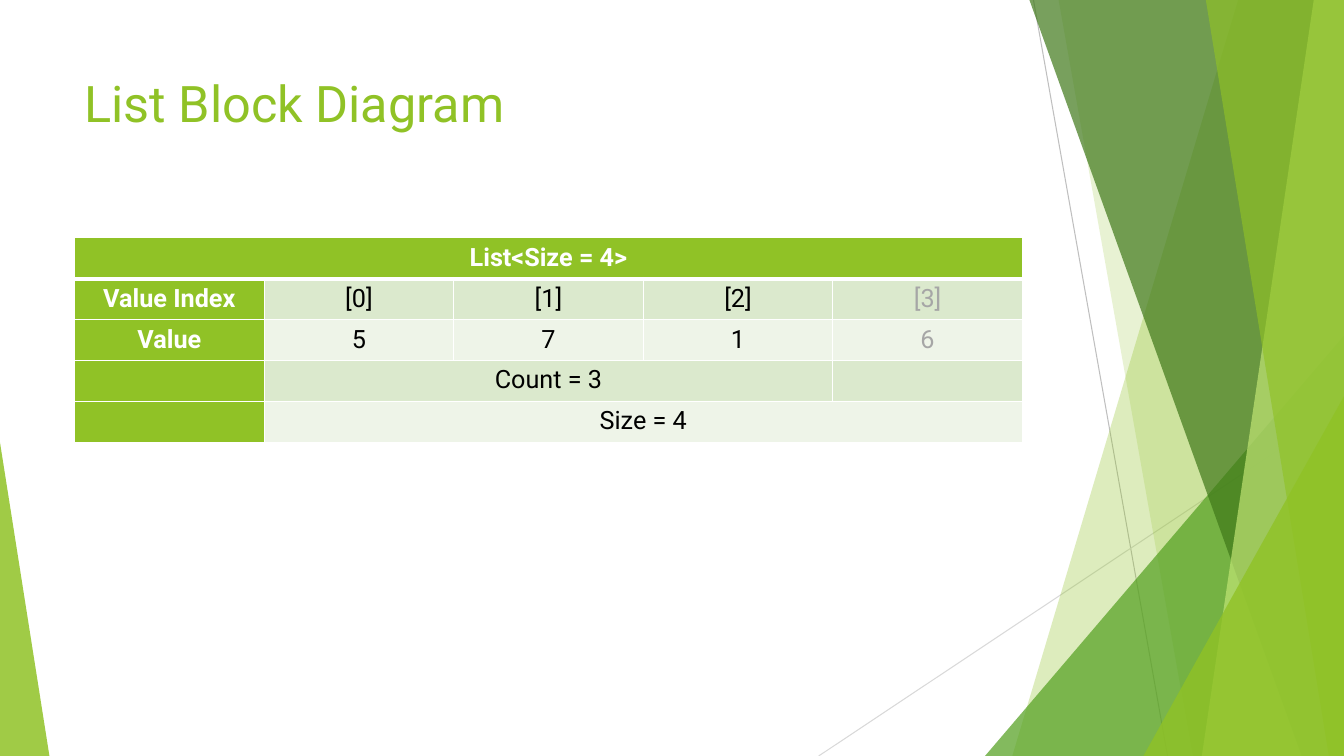
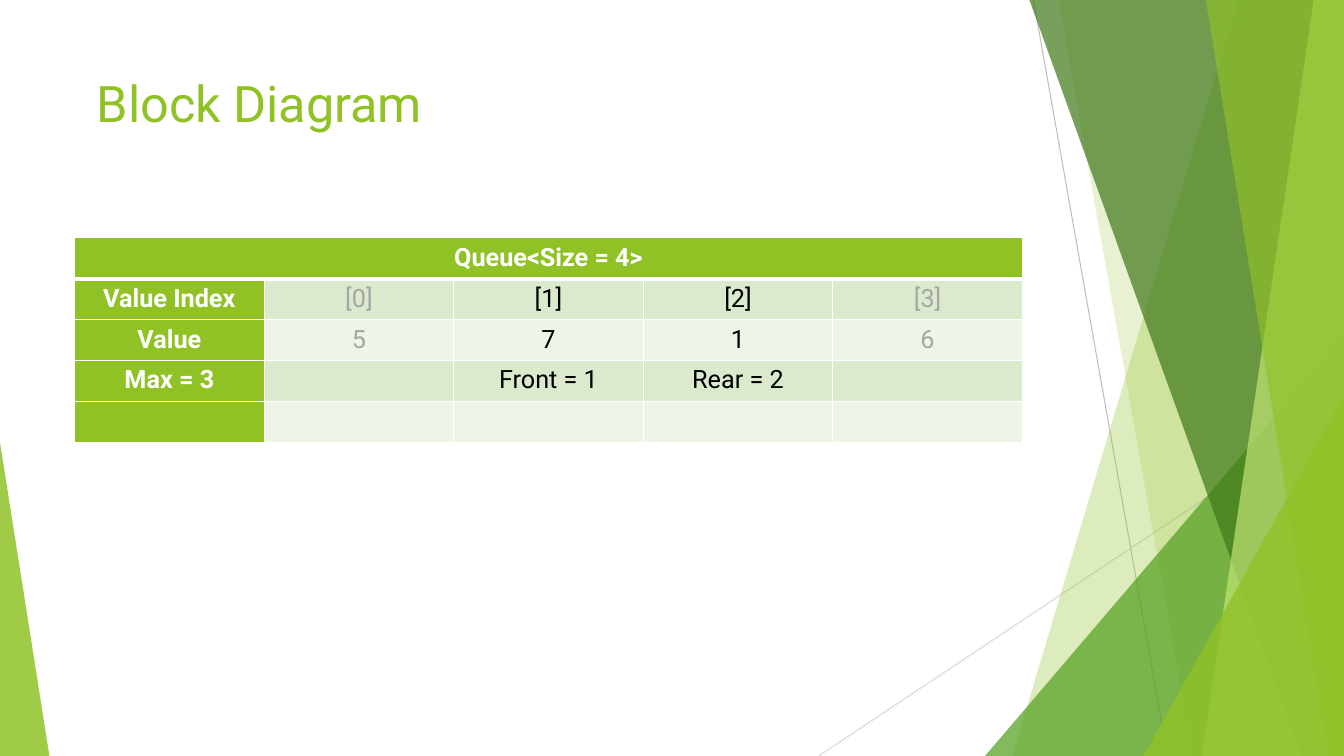
from dataclasses import dataclass

from pptx import Presentation
from pptx.dml.color import RGBColor
from pptx.enum.shapes import MSO_CONNECTOR, MSO_SHAPE
from pptx.enum.text import MSO_ANCHOR, PP_ALIGN
from pptx.oxml.ns import qn
from pptx.oxml.xmlchemy import OxmlElement
from pptx.util import Inches, Pt


@dataclass(frozen=True)
class Theme:
    width: float = 13.33
    height: float = 7.5
    font: str = "Roboto"
    title_size: int = 36
    cell_size: int = 18
    lime: str = "90C226"
    green: str = "54A021"
    forest: str = "3F7819"
    pale_lime: str = "C0E474"
    white: str = "FFFFFF"
    ink: str = "000000"
    muted: str = "A6A6A6"
    row_fills: tuple = ("EEF4E8", "DBE9CD")
    dark_hairline: str = "BFBFBF"
    light_hairline: str = "D9D9D9"


THEME = Theme()

# Bands reaching the right edge: top x, bottom x, colour, opacity
BACK_BANDS = [(12.28, 10.04, THEME.lime, 30), (10.5, 11.83, THEME.lime, 20)]
FRONT_BANDS = [
    (10.21, 12.91, THEME.forest, 70),
    (13.03, 11.92, THEME.pale_lime, 70),
    (11.96, 13.18, THEME.lime, 65),
]


class Deck:
    def __init__(self, theme):
        self.theme = theme
        self.presentation = Presentation()
        self.presentation.slide_width = Inches(theme.width)
        self.presentation.slide_height = Inches(theme.height)
        self.slide = None

    def new_slide(self, title, title_indent=0):
        blank = self.presentation.slide_layouts[6]
        self.slide = self.presentation.slides.add_slide(blank)
        self.backdrop()
        self.title(title, title_indent)

    def backdrop(self):
        theme = self.theme
        self.hairline((10.25, 0), (11.58, theme.height), theme.dark_hairline)
        self.hairline((theme.width, 4.03), (8.12, theme.height), theme.light_hairline)
        for band in BACK_BANDS:
            self.band(*band)
        self.corner(9.77, 3.56, 4.17, 1, theme.green, 72)
        for band in FRONT_BANDS:
            self.band(*band)
        self.corner(11.34, 1.99, 3.57, 1, theme.lime, 80)
        self.corner(0, 0.49, 3.11, 0, theme.lime, 85)

    def hairline(self, start, end, color):
        points = [Inches(value) for value in (*start, *end)]
        line = self.slide.shapes.add_connector(MSO_CONNECTOR.STRAIGHT, *points)
        line.line.color.rgb = RGBColor.from_string(color)
        line.line.width = Pt(0.75)
        line.element.spPr.append(OxmlElement("a:effectLst"))

    def band(self, top_x, bottom_x, color, opacity):
        right, bottom = Inches(self.theme.width), Inches(self.theme.height)
        outline = self.slide.shapes.build_freeform(Inches(top_x), 0)
        outline.add_line_segments(
            [(right, 0), (right, bottom), (Inches(bottom_x), bottom)], close=True
        )
        self.tint(outline.convert_to_shape(), color, opacity)

    def corner(self, left, width, height, apex, color, opacity):
        """Triangle standing on the bottom edge of the slide."""
        triangle = self.slide.shapes.add_shape(
            MSO_SHAPE.ISOSCELES_TRIANGLE, Inches(left),
            Inches(self.theme.height - height), Inches(width), Inches(height),
        )
        triangle.adjustments[0] = apex
        self.tint(triangle, color, opacity)

    def tint(self, shape, color, opacity):
        shape.shadow.inherit = False
        shape.line.fill.background()
        shape.fill.solid()
        shape.fill.fore_color.rgb = RGBColor.from_string(color)
        alpha = OxmlElement("a:alpha")
        alpha.set("val", str(opacity * 1000))
        shape.element.spPr.find(".//" + qn("a:srgbClr")).append(alpha)

    def title(self, text, indent):
        box = self.slide.shapes.add_textbox(
            Inches(0.74), Inches(0.67), Inches(9.4), Inches(1.44)
        )
        frame = box.text_frame
        frame.word_wrap = True
        frame.vertical_anchor = MSO_ANCHOR.TOP
        frame.margin_left = Inches(0.1 + indent)
        self.run(frame.paragraphs[0], text, self.theme.title_size, self.theme.lime)

    def run(self, paragraph, text, size, color, bold=False):
        run = paragraph.add_run()
        run.text = text
        run.font.name = self.theme.font
        run.font.size = Pt(size)
        run.font.bold = bold
        run.font.color.rgb = RGBColor.from_string(color)

    def block_table(self, rows, spans, unused):
        """spans maps (row, column) to a width in cells; unused columns are greyed."""
        theme = self.theme
        table = self.slide.shapes.add_table(
            len(rows), len(rows[0]), Inches(0.74), Inches(2.36), Inches(9.4), Inches(2.03)
        ).table
        for (row, column), count in spans.items():
            table.cell(row, column).merge(table.cell(row, column + count - 1))

        for row, texts in enumerate(rows):
            for column, text in enumerate(texts):
                cell = table.cell(row, column)
                heading = row == 0 or column == 0
                # The header is set off by a thicker rule
                self.borders(cell, top=3 if row == 1 else 1, bottom=3 if row == 0 else 1)
                cell.fill.solid()
                cell.fill.fore_color.rgb = RGBColor.from_string(
                    theme.lime if heading else theme.row_fills[row % 2]
                )
                if not text:
                    continue
                greyed = column in unused and row in (1, 2)
                color = theme.white if heading else theme.muted if greyed else theme.ink
                paragraph = cell.text_frame.paragraphs[0]
                paragraph.alignment = PP_ALIGN.CENTER
                self.run(paragraph, text, theme.cell_size, color, heading)

    def borders(self, cell, top, bottom):
        properties = cell._tc.get_or_add_tcPr()
        for side, width in (("L", 1), ("R", 1), ("T", top), ("B", bottom)):
            edge = OxmlElement("a:ln" + side)
            edge.set("w", str(Pt(width)))
            fill = OxmlElement("a:solidFill")
            color = OxmlElement("a:srgbClr")
            color.set("val", self.theme.white)
            fill.append(color)
            edge.append(fill)
            properties.append(edge)


def main():
    deck = Deck(THEME)
    index_row = ["Value Index", "[0]", "[1]", "[2]", "[3]"]
    value_row = ["Value", "5", "7", "1", "6"]

    # List
    deck.new_slide("List Block Diagram")
    deck.block_table(
        [
            ["List<Size = 4>", "", "", "", ""],
            index_row,
            value_row,
            ["", "Count = 3", "", "", ""],
            ["", "Size = 4", "", "", ""],
        ],
        spans={(0, 0): 5, (3, 1): 3, (4, 1): 4},
        unused={4},
    )

    # Queue
    deck.new_slide("Block Diagram", title_indent=0.12)
    deck.block_table(
        [
            ["Queue<Size = 4>", "", "", "", ""],
            index_row,
            value_row,
            ["Max = 3", "", "Front = 1", "Rear = 2", ""],
            ["", "", "", "", ""],
        ],
        spans={(0, 0): 5},
        unused={1, 4},
    )
    deck.presentation.save("out.pptx")


if __name__ == "__main__":
    main()
